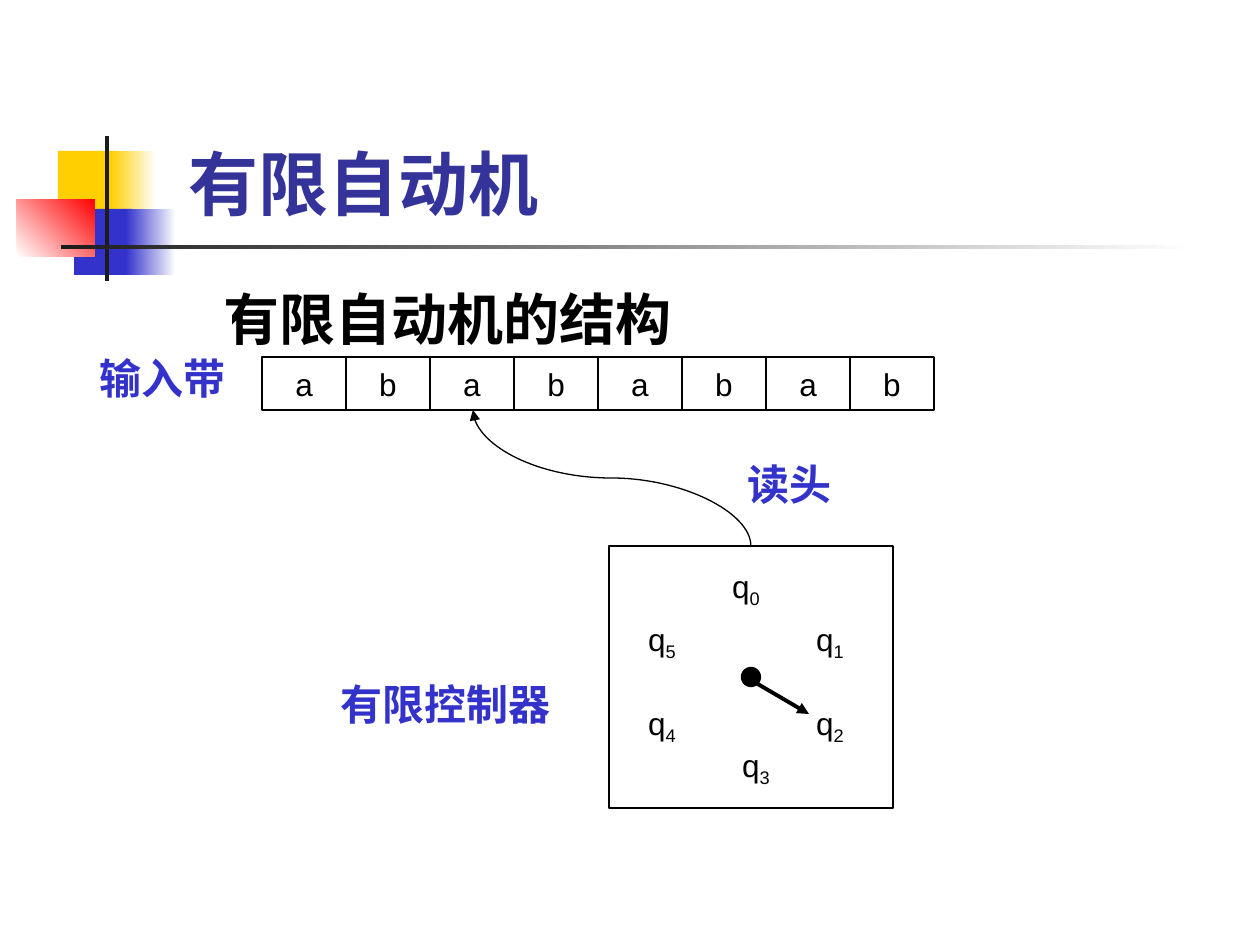
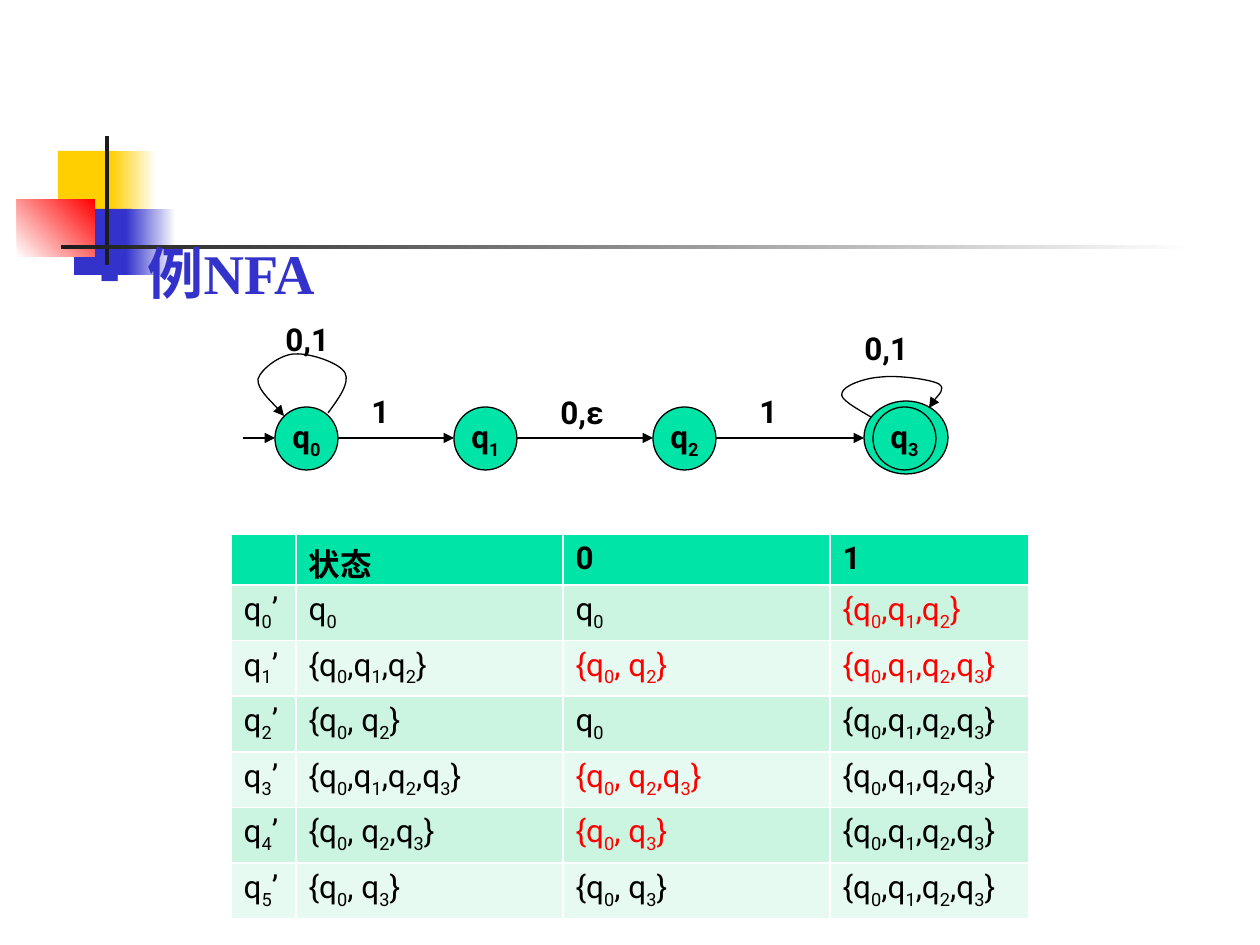
"""Builds two slides on finite automata: the machine's structure and an NFA example."""
import itertools

import pptx
import pptx.dml.color
import pptx.enum.shapes
import pptx.enum.text
import pptx.oxml
import pptx.oxml.ns
import pptx.util

SCALE = 914400 / 126
BLACK, WHITE, BLUE, NAVY = "000000", "FFFFFF", "3333CC", "333399"
YELLOW, RED, DARK, GREEN = "FFCF01", "FF0000", "1C1C1C", "00E4A8"
BANDS = ["CCF5E1", "E7FAF1"]
SERIF, SANS, ROBOTO = "Times New Roman", "Arial", "Roboto"
SHAPE = pptx.enum.shapes.MSO_SHAPE
LINE = pptx.enum.shapes.MSO_CONNECTOR
ALIGN = pptx.enum.text.PP_ALIGN
ANCHOR = pptx.enum.text.MSO_ANCHOR

DECOR = [
    ((58, 151, 60, 66), [YELLOW], 0),
    ((111, 151, 45, 66), [YELLOW, WHITE], 0),
    ((74, 209, 58, 66), [BLUE], 0),
    ((126, 209, 50, 66), [BLUE, WHITE], 0),
    ((17, 199, 78, 58), [WHITE, RED], 45),
    ((105, 136, 4, 145), [DARK], 0),
    ((61, 245, 1134, 4), [DARK, WHITE], 0),
]

TITLE = "有限自动机"
STRUCTURE = "有限自动机的结构"
TAPE = "abababab"
TAPE_LEFT, TAPE_TOP, CELL_W, CELL_H = 262, 357, 84, 53
CONTROL = (609, 546, 284, 262)
PARTS = [
    ("有限控制器", (346, 651, 200, 105), ALIGN.CENTER),
    ("输入带", (94, 315, 137, 126), ALIGN.CENTER),
    ("读头", (735, 452, 116, 63), ALIGN.LEFT),
]
DIAL = [("q0", 725, 567), ("q5", 641, 620), ("q4", 641, 704),
        ("q3", 735, 746), ("q1", 809, 620), ("q2", 809, 704)]

EXAMPLE = "例NFA"
STATES = [("q0", 275), ("q1", 454), ("q2", 653), ("q3", 873)]
STATE_TOP, STATE_SIZE = 407, 63
ACCEPT_RING = (864, 401, 84, 73)
LABELS = [
    ("0,1", (273, 314, 95, 50)),
    ("0,1", (852, 323, 105, 50)),
    ("1", (359, 386, 53, 50)),
    ("0,ε", (548, 387, 84, 50)),
    ("1", (747, 386, 63, 50)),
]
LOOPS = [
    [(328, 413), (339, 398), (350, 383), (345, 373), (340, 363), (310, 353), (295, 354),
     (281, 354), (261, 369), (258, 379), (257, 389), (280, 410), (284, 416)],
    [(871, 417), (856, 408), (839, 399), (842, 393), (843, 386), (864, 378), (881, 377),
     (896, 375), (930, 379), (939, 384), (946, 389), (930, 404), (929, 408)],
]
TABLE_LEFT, TABLE_TOP, ROW_H = 231, 534, 51
COLUMNS = [65, 267, 267, 199]
ROWS = [
    ("", "状态", "0", "1"),
    ("q0’", "q0", "q0", "{q0,q1,q2}"),
    ("q1’", "{q0,q1,q2}", "{q0, q2}", "{q0,q1,q2,q3}"),
    ("q2’", "{q0, q2}", "q0", "{q0,q1,q2,q3}"),
    ("q3’", "{q0,q1,q2,q3}", "{q0, q2,q3}", "{q0,q1,q2,q3}"),
    ("q4’", "{q0, q2,q3}", "{q0, q3}", "{q0,q1,q2,q3}"),
    ("q5’", "{q0, q3}", "{q0, q3}", "{q0,q1,q2,q3}"),
]
NEW_STATES = {(1, 3), (2, 2), (2, 3), (4, 2), (5, 2)}


def px(*values):
    return [pptx.util.Emu(round(v * SCALE)) for v in values]


def rgb(value):
    return pptx.dml.color.RGBColor.from_string(value)


def element(parent, tag, **attrs):
    el = pptx.oxml.ns.qn(tag)
    child = parent.makeelement(el, attrs)
    parent.append(child)
    return child


def write(tf, text, size, font, color, bold=False, align=ALIGN.LEFT):
    p = tf.paragraphs[0]
    p.alignment = align
    lowered = [c.isdigit() and text[:i].endswith("q") for i, c in enumerate(text)]
    for low, pairs in itertools.groupby(zip(lowered, text), key=lambda pair: pair[0]):
        r = p.add_run()
        r.text = "".join(c for _, c in pairs)
        r.font.size, r.font.name, r.font.bold = pptx.util.Pt(size), font, bold
        r.font.color.rgb = rgb(color)
        if low:
            r._r.get_or_add_rPr().set("baseline", "-25000")
    return p


def fill_placeholder(sp, box, text, size, color, margin, bullet=None):
    sp.left, sp.top, sp.width, sp.height = px(*box)
    tf = sp.text_frame
    tf.auto_size = pptx.enum.text.MSO_AUTO_SIZE.NONE
    p = tf.paragraphs[0]
    p.space_before = pptx.util.Pt(0)
    pPr = p._p.get_or_add_pPr()
    pPr.set("marL", str(px(margin)[0]))
    if bullet:
        pPr.set("indent", str(-px(48)[0]))
        element(element(pPr, "a:buClr"), "a:srgbClr", val=BLUE)
        element(pPr, "a:buSzPct", val="60000")
        element(pPr, "a:buFont", typeface=SANS)
        element(pPr, "a:buChar", char=bullet)
    write(tf, text, size, SERIF, color, True)


def add_shape(slide, kind, box, fill, line=None, width=0.75):
    sp = slide.shapes.add_shape(kind, *px(*box))
    sp.shadow.inherit = False
    sp.fill.solid()
    sp.fill.fore_color.rgb = rgb(fill)
    if line:
        sp.line.color.rgb = rgb(line)
        sp.line.width = pptx.util.Pt(width)
    else:
        sp.line.fill.background()
    return sp


def add_label(sp, text, size, font, color=BLACK, bold=False, align=ALIGN.CENTER):
    tf = sp.text_frame
    tf.word_wrap = False
    tf.vertical_anchor = ANCHOR.MIDDLE
    write(tf, text, size, font, color, bold, align)


def style_arrow(sp, width=0.75):
    sp.line.color.rgb = rgb(BLACK)
    sp.line.width = pptx.util.Pt(width)
    element(sp.line._get_or_add_ln(), "a:tailEnd", type="triangle")


def add_arrow(slide, start, end, width=0.75, kind=LINE.STRAIGHT):
    sp = slide.shapes.add_connector(kind, *px(*start, *end))
    style_arrow(sp, width)
    element(sp._element.spPr, "a:effectLst")
    return sp


def add_loop(slide, points):
    builder = slide.shapes.build_freeform(*points[0], scale=SCALE)
    builder.add_line_segments(points[1:], close=False)
    sp = builder.convert_to_shape()
    sp.shadow.inherit = False
    sp.fill.background()
    style_arrow(sp)
    outline = next(sp._element.iter(pptx.oxml.ns.qn("a:path")))
    segments = outline.findall(pptx.oxml.ns.qn("a:lnTo"))
    for i in range(0, len(segments), 3):
        curve = element(outline, "a:cubicBezTo")
        for segment in segments[i:i + 3]:
            curve.append(segment[0])
            outline.remove(segment)


def decorate(layout, slide):
    for i, (box, colors, angle) in enumerate(DECOR):
        sp = add_shape(slide, SHAPE.RECTANGLE, box, colors[0])
        if len(colors) > 1:
            sp.fill.gradient()
            sp.fill.gradient_angle = angle
            for position, (stop, color) in enumerate(zip(sp.fill.gradient_stops, colors)):
                stop.color.rgb = rgb(color)
                stop.position = position
        sp._element.nvSpPr.cNvPr.set("id", str(100 + i))
        layout.shapes._spTree.insert(2 + i, sp._element)


def build_structure(slide):
    title, body = slide.shapes.title, slide.placeholders[1]
    fill_placeholder(title, (159, 29, 1074, 202), TITLE, 40, NAVY, 17)
    title.text_frame.vertical_anchor = ANCHOR.BOTTOM
    fill_placeholder(body, (163, 278, 1071, 567), STRUCTURE, 32, BLACK, 48, "–")
    for i, symbol in enumerate(TAPE):
        box = (TAPE_LEFT + i * CELL_W, TAPE_TOP, CELL_W, CELL_H)
        add_label(add_shape(slide, SHAPE.RECTANGLE, box, WHITE, BLACK), symbol, 18, SANS)
    add_shape(slide, SHAPE.RECTANGLE, CONTROL, WHITE, BLACK)
    for state, left, top in DIAL:
        sp = add_shape(slide, SHAPE.RECTANGLE, (left, top, 42, 42), WHITE, WHITE)
        add_label(sp, state, 18, SANS)
    add_shape(slide, SHAPE.OVAL, (746, 672, 10, 10), BLACK, BLACK, 6)
    add_arrow(slide, (756, 683), (809, 714), 2.25)
    for text, box, align in PARTS:
        sp = add_shape(slide, SHAPE.RECTANGLE, box, WHITE, WHITE)
        add_label(sp, text, 24, SANS, BLUE, True, align)
    head = add_arrow(slide, (680, 339), (544, 617), kind=LINE.CURVE)
    head._element.spPr.find(pptx.oxml.ns.qn("a:xfrm")).set("rot", "5400000")


def build_example(slide):
    title = slide.shapes.title._element
    title.getparent().remove(title)
    fill_placeholder(slide.placeholders[1], (73, 232, 1071, 121), EXAMPLE, 32, BLUE, 62, "■")
    add_shape(slide, SHAPE.OVAL, ACCEPT_RING, GREEN, BLACK)
    for state, left in STATES:
        box = (left, STATE_TOP, STATE_SIZE, STATE_SIZE)
        add_label(add_shape(slide, SHAPE.OVAL, box, GREEN, BLACK), state, 18, ROBOTO, bold=True)
    lefts = [left for _, left in STATES]
    starts = [243] + [left + STATE_SIZE for left in lefts[:-1]]
    middle = STATE_TOP + STATE_SIZE // 2
    for start, end in zip(starts, lefts[:-1] + [ACCEPT_RING[0]]):
        add_arrow(slide, (start, middle), (end, middle))
    for points in LOOPS:
        add_loop(slide, points)
    for text, box in LABELS:
        tf = slide.shapes.add_textbox(*px(*box)).text_frame
        tf.word_wrap = True
        write(tf, text, 18, ROBOTO, BLACK, True)
    add_transitions(slide)


def add_transitions(slide):
    box = (TABLE_LEFT, TABLE_TOP, sum(COLUMNS), ROW_H * len(ROWS))
    table = slide.shapes.add_table(len(ROWS), len(COLUMNS), *px(*box)).table
    for column, width in zip(table.columns, px(*COLUMNS)):
        column.width = width
    for i, row in enumerate(ROWS):
        table.rows[i].height = px(ROW_H)[0]
        for j, text in enumerate(row):
            cell = table.cell(i, j)
            cell.fill.solid()
            cell.fill.fore_color.rgb = rgb(BANDS[(i - 1) % 2] if i else GREEN)
            color = RED if (i, j) in NEW_STATES else BLACK
            write(cell.text_frame, text, 18, ROBOTO, color, i == 0)


def main():
    prs = pptx.Presentation()
    prs.slide_width, prs.slide_height = px(1260, 945)
    layout = prs.slide_layouts[1]
    structure, example = [prs.slides.add_slide(layout) for _ in range(2)]
    decorate(layout, structure)
    build_structure(structure)
    build_example(example)
    prs.save("out.pptx")


if __name__ == "__main__":
    main()
